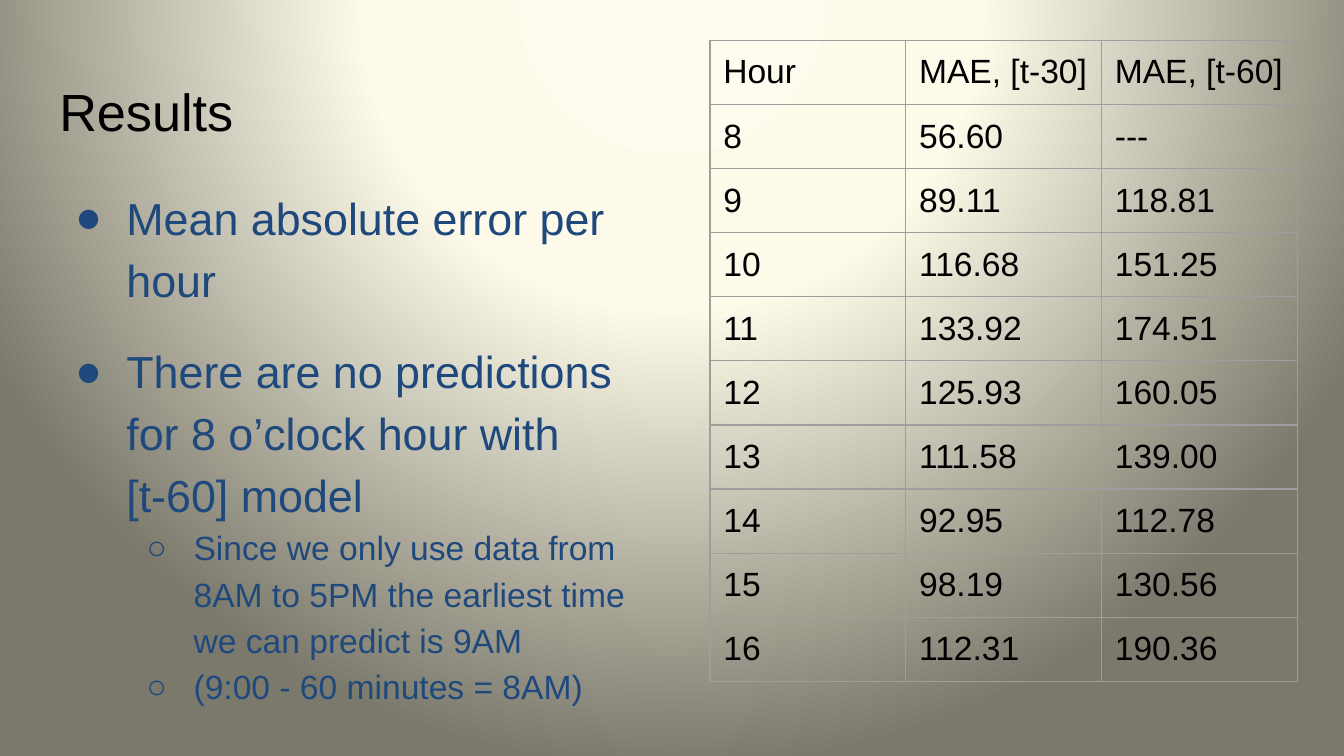
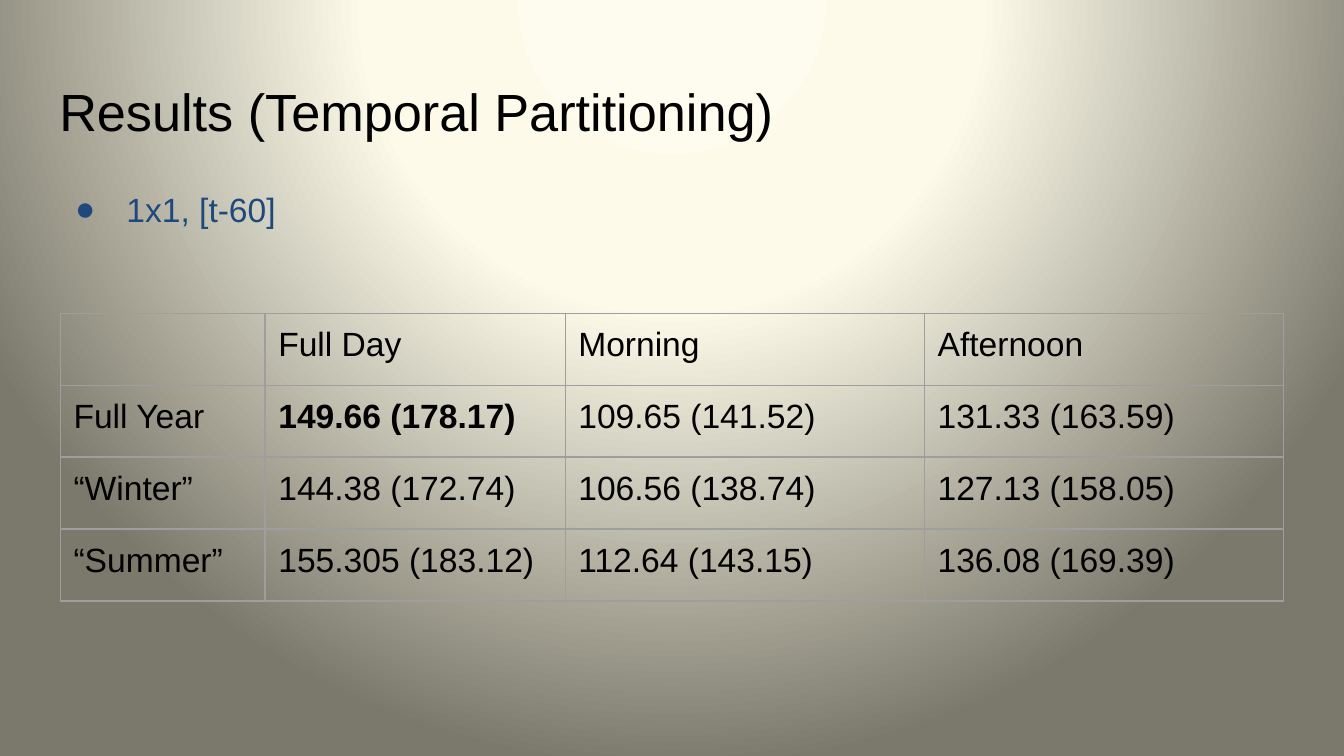
from dataclasses import dataclass
from typing import Any, Optional

from lxml.etree import SubElement
from pptx import Presentation
from pptx.dml.color import RGBColor
from pptx.enum.text import MSO_ANCHOR, MSO_AUTO_SIZE, PP_ALIGN
from pptx.oxml import parse_xml
from pptx.oxml.ns import nsdecls, qn
from pptx.presentation import Presentation as Deck
from pptx.slide import Slide
from pptx.table import _Cell
from pptx.text.text import TextFrame, _Paragraph
from pptx.util import Cm, Length, Pt

BLACK = RGBColor(0x00, 0x00, 0x00)
NAVY = RGBColor(0x1F, 0x49, 0x7D)
GRID_GREY = RGBColor(0x9E, 0x9E, 0x9E)
BACKGROUND_STOPS = {
    0: RGBColor(0xFE, 0xFC, 0xEE),
    40: RGBColor(0xFD, 0xFA, 0xEA),
    100: RGBColor(0x7B, 0x79, 0x6B),
}

FONT = "Arial"
LEFT = Cm(0.87)
FULL_WIDTH = Cm(23.67)
INSET = Cm(0.25)
GRID_WIDTH = Pt(0.75)
TITLE_PLACE = {"left": LEFT, "top": Cm(1.25), "width": FULL_WIDTH, "height": Cm(1.6)}
FRAME_FORMAT = {
    "word_wrap": True,
    "auto_size": MSO_AUTO_SIZE.NONE,
    "vertical_anchor": MSO_ANCHOR.TOP,
    "margin_left": INSET,
    "margin_right": INSET,
    "margin_top": INSET,
    "margin_bottom": INSET,
}
CELL_FORMAT = {key: value for key, value in FRAME_FORMAT.items() if key.startswith("margin")}


@dataclass(frozen=True)
class BulletStyle:
    symbol: str
    level: int
    indent: Length
    hanging: Length


MAIN = BulletStyle("●", 0, Cm(1.27), Cm(0.97))
SUB = BulletStyle("○", 1, Cm(2.54), Cm(0.89))


@dataclass(frozen=True)
class Point:
    text: str
    size: int
    style: BulletStyle = MAIN
    space_before: int = 0


@dataclass(frozen=True)
class ErrorTable:
    left: Length
    top: Length
    column_widths: list[Length]
    row_height: Length
    rows: list[list[str]]
    bold_cell: Optional[tuple[int, int]] = None


@dataclass(frozen=True)
class ResultSlide:
    title: str
    points: list[Point]
    points_width: Length
    errors: ErrorTable


HOURLY = ResultSlide(
    "Results",
    [
        Point("Mean absolute error per hour", 24),
        Point("There are no predictions for 8 o’clock hour with [t-60] model", 24, space_before=16),
        Point("Since we only use data from 8AM to 5PM the earliest time we can predict is 9AM", 18, SUB),
        Point("(9:00 - 60 minutes = 8AM)", 18, SUB),
    ],
    Cm(11.94),
    ErrorTable(
        Cm(13.42), Cm(0.76), [Cm(3.7)] * 3, Cm(1.17),
        [
            ["Hour", "MAE, [t-30]", "MAE, [t-60]"],
            ["8", "56.60", "---"],
            ["9", "89.11", "118.81"],
            ["10", "116.68", "151.25"],
            ["11", "133.92", "174.51"],
            ["12", "125.93", "160.05"],
            ["13", "111.58", "139.00"],
            ["14", "92.95", "112.78"],
            ["15", "98.19", "130.56"],
            ["16", "112.31", "190.36"],
        ],
    ),
)

PARTITIONED = ResultSlide(
    "Results (Temporal Partitioning)",
    [Point("1x1, [t-60]", 18)],
    FULL_WIDTH,
    ErrorTable(
        Cm(1.14), Cm(5.92), [Cm(3.87), Cm(5.67), Cm(6.79), Cm(6.79)], Cm(1.36),
        [
            ["", "Full Day", "Morning", "Afternoon"],
            ["Full Year", "149.66 (178.17)", "109.65 (141.52)", "131.33 (163.59)"],
            ["“Winter”", "144.38 (172.74)", "106.56 (138.74)", "127.13 (158.05)"],
            ["“Summer”", "155.305 (183.12)", "112.64 (143.15)", "136.08 (169.39)"],
        ],
        bold_cell=(1, 1),
    ),
)


def apply_format(target: Any, values: dict[str, Any]) -> None:
    for name, value in values.items():
        setattr(target, name, value)


def write(paragraph: _Paragraph, text: str, size: int, color: RGBColor, bold: bool = False) -> None:
    run = paragraph.add_run()
    run.text = text
    apply_format(run.font, {"name": FONT, "size": Pt(size), "bold": bold})
    run.font.color.rgb = color


def set_background(deck: Deck) -> None:
    """Give the master a radial gradient centred above the slide's middle."""
    fill = deck.slide_master.background.fill
    fill.solid()
    stops = "".join(
        f'<a:gs pos="{position * 1000}"><a:srgbClr val="{color}"/></a:gs>'
        for position, color in BACKGROUND_STOPS.items()
    )
    gradient = parse_xml(
        f'<a:gradFill {nsdecls("a")}><a:gsLst>{stops}</a:gsLst><a:path path="circle">'
        '<a:fillToRect l="50000" t="-80000" r="50000" b="180000"/></a:path></a:gradFill>'
    )
    solid = next(deck.slide_master.element.iter(qn("a:solidFill")))
    solid.getparent().replace(solid, gradient)


def add_title(slide: Slide, text: str) -> None:
    title = slide.shapes.title
    apply_format(title, TITLE_PLACE)
    apply_format(title.text_frame, FRAME_FORMAT)
    paragraph = title.text_frame.paragraphs[0]
    paragraph.alignment = PP_ALIGN.LEFT
    write(paragraph, text, 28, BLACK)


def set_bullet(paragraph: _Paragraph, style: BulletStyle) -> None:
    properties = paragraph._p.get_or_add_pPr()
    properties.set("marL", str(style.indent))
    properties.set("indent", str(-style.hanging))
    bullet_color = SubElement(properties, qn("a:buClr"))
    SubElement(bullet_color, qn("a:srgbClr"), val=str(NAVY))
    SubElement(properties, qn("a:buFont"), typeface=FONT)
    SubElement(properties, qn("a:buChar"), char=style.symbol)


def add_points(slide: Slide, points: list[Point], width: Length) -> None:
    frame: TextFrame = slide.shapes.add_textbox(LEFT, Cm(3.2), width, Cm(9.5)).text_frame
    apply_format(frame, FRAME_FORMAT)
    for index, point in enumerate(points):
        paragraph = frame.add_paragraph() if index else frame.paragraphs[0]
        set_bullet(paragraph, point.style)
        apply_format(paragraph, {
            "level": point.style.level,
            "line_spacing": 1.15,
            "space_before": Pt(point.space_before),
        })
        write(paragraph, point.text, point.size, NAVY)


def set_borders(cell: _Cell) -> None:
    properties = cell._tc.get_or_add_tcPr()
    for position, side in enumerate("LRTB"):
        properties.insert(position, parse_xml(
            f'<a:ln{side} {nsdecls("a")} w="{GRID_WIDTH}"><a:solidFill>'
            f'<a:srgbClr val="{GRID_GREY}"/></a:solidFill></a:ln{side}>'
        ))


def add_errors(slide: Slide, errors: ErrorTable) -> None:
    table = slide.shapes.add_table(
        len(errors.rows), len(errors.column_widths), errors.left, errors.top,
        sum(errors.column_widths), errors.row_height * len(errors.rows),
    ).table
    apply_format(table, {"first_row": False, "horz_banding": False})
    for column, width in zip(table.columns, errors.column_widths):
        column.width = width
    for row_index, values in enumerate(errors.rows):
        table.rows[row_index].height = errors.row_height
        for column_index, value in enumerate(values):
            cell = table.cell(row_index, column_index)
            apply_format(cell, CELL_FORMAT)
            cell.fill.background()
            set_borders(cell)
            if value:
                bold = (row_index, column_index) == errors.bold_cell
                write(cell.text_frame.paragraphs[0], value, 18, BLACK, bold)


def main() -> None:
    deck = Presentation()
    apply_format(deck, {"slide_width": Cm(25.4), "slide_height": Cm(14.29)})
    set_background(deck)
    title_only = deck.slide_layouts.get_by_name("Title Only")
    for result in (HOURLY, PARTITIONED):
        slide = deck.slides.add_slide(title_only)
        add_title(slide, result.title)
        add_points(slide, result.points, result.points_width)
        add_errors(slide, result.errors)
    deck.save("out.pptx")


if __name__ == "__main__":
    main()
